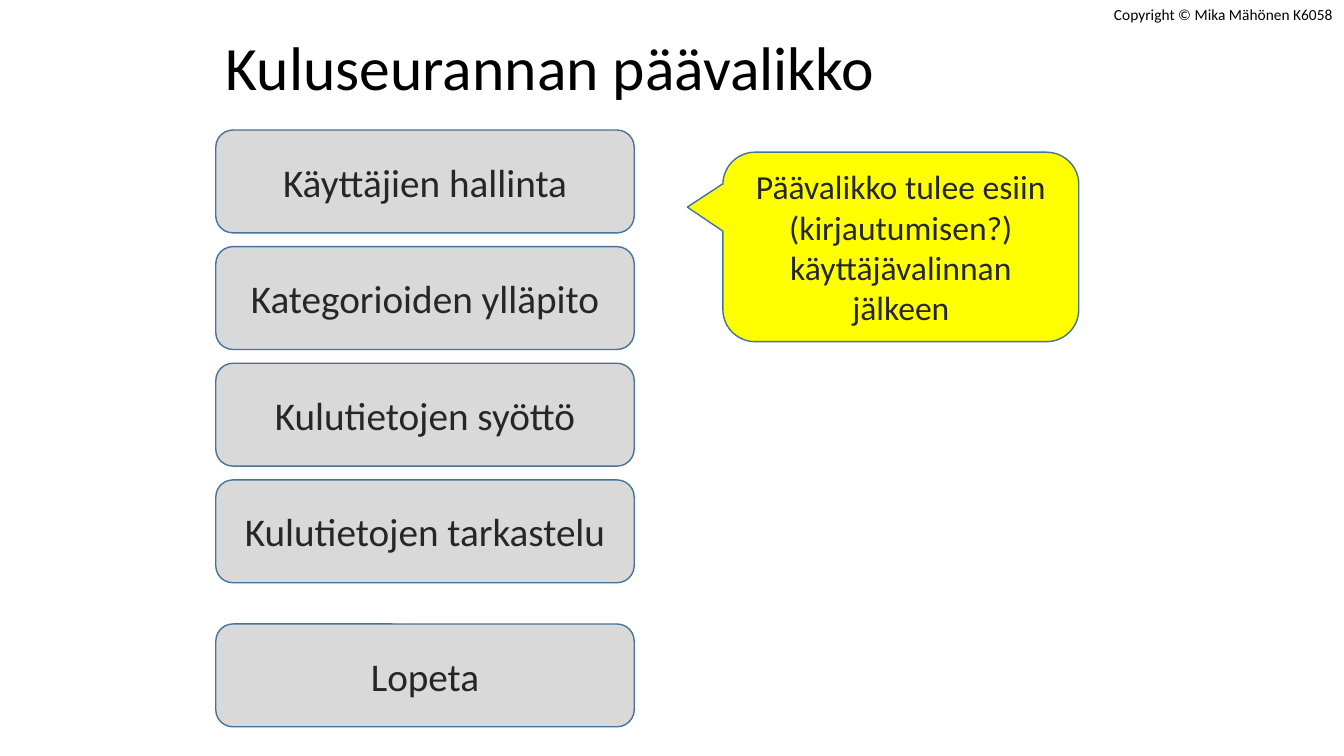
from pptx import Presentation
from pptx.util import Inches, Pt
from pptx.dml.color import RGBColor
from pptx.enum.shapes import MSO_SHAPE as Kind
from pptx.enum.text import PP_ALIGN as Align, MSO_ANCHOR as Anchor, MSO_AUTO_SIZE as Auto

# Content
MENU = ["Käyttäjien hallinta", "Kategorioiden ylläpito", "Kulutietojen syöttö",
        "Kulutietojen tarkastelu"]
QUIT = "Lopeta"
NOTE = "Päävalikko tulee esiin (kirjautumisen?) käyttäjävalinnan jälkeen"
LABELS = [  # text, box, size
    ("Kuluseurannan päävalikko", (2.14, 0.24, 6.71, 0.84), 44),
    ("Copyright © Mika Mähönen K6058", (10.95, 0, 2.39, 0.29), 11),
]

# Format
HEX = {"button": "D9D9D9", "note": "FFFF00", "edge": "43739E",
       "dark": "262626", "black": "000000"}
LEFT, TOP, WIDE, HIGH, STEP = 2.14, 1.29, 4.15, 1.02, 1.157
QUIT_TOP = 6.19


def color(name):
    return RGBColor.from_string(HEX[name])


def write(frame, text, size, ink, align):
    para = frame.paragraphs[0]
    para.alignment = align
    run = para.add_run()
    run.text = text
    for key, val in {"name": "Calibri", "size": Pt(size)}.items():
        setattr(run.font, key, val)
    run.font.color.rgb = color(ink)


def add_panel(kind, box, text, size, fill):
    panel = slide.shapes.add_shape(kind, *map(Inches, box))
    panel.shadow.inherit = False
    panel.fill.solid()
    panel.fill.fore_color.rgb = color(fill)
    panel.line.color.rgb = color("edge")
    panel.line.width = Pt(1)
    frame = panel.text_frame
    for key, val in {"word_wrap": True, "vertical_anchor": Anchor.MIDDLE}.items():
        setattr(frame, key, val)
    write(frame, text, size, "dark", Align.CENTER)
    return panel


def add_label(text, box, size):
    frame = slide.shapes.add_textbox(*map(Inches, box)).text_frame
    for key, val in {"word_wrap": False, "auto_size": Auto.SHAPE_TO_FIT_TEXT}.items():
        setattr(frame, key, val)
    write(frame, text, size, "black", Align.LEFT)


deck = Presentation()
deck.slide_width, deck.slide_height = Inches(13.33), Inches(7.5)
slide = deck.slides.add_slide(deck.slide_layouts[6])

# Menu buttons, with the quit button set apart
rows = [(text, TOP + i * STEP) for i, text in enumerate(MENU)] + [(QUIT, QUIT_TOP)]
for text, top in rows:
    add_panel(Kind.ROUNDED_RECTANGLE, (LEFT, top, WIDE, HIGH), text, 28, "button")

# Callout pointing at the menu
note = add_panel(Kind.ROUNDED_RECTANGULAR_CALLOUT, (7.17, 1.51, 3.53, 1.88),
                 NOTE, 24, "note")
for i, val in enumerate((-0.6, -0.21, 0.17)):
    note.adjustments[i] = val

# Title and copyright
for label in LABELS:
    add_label(*label)

deck.save("out.pptx")
